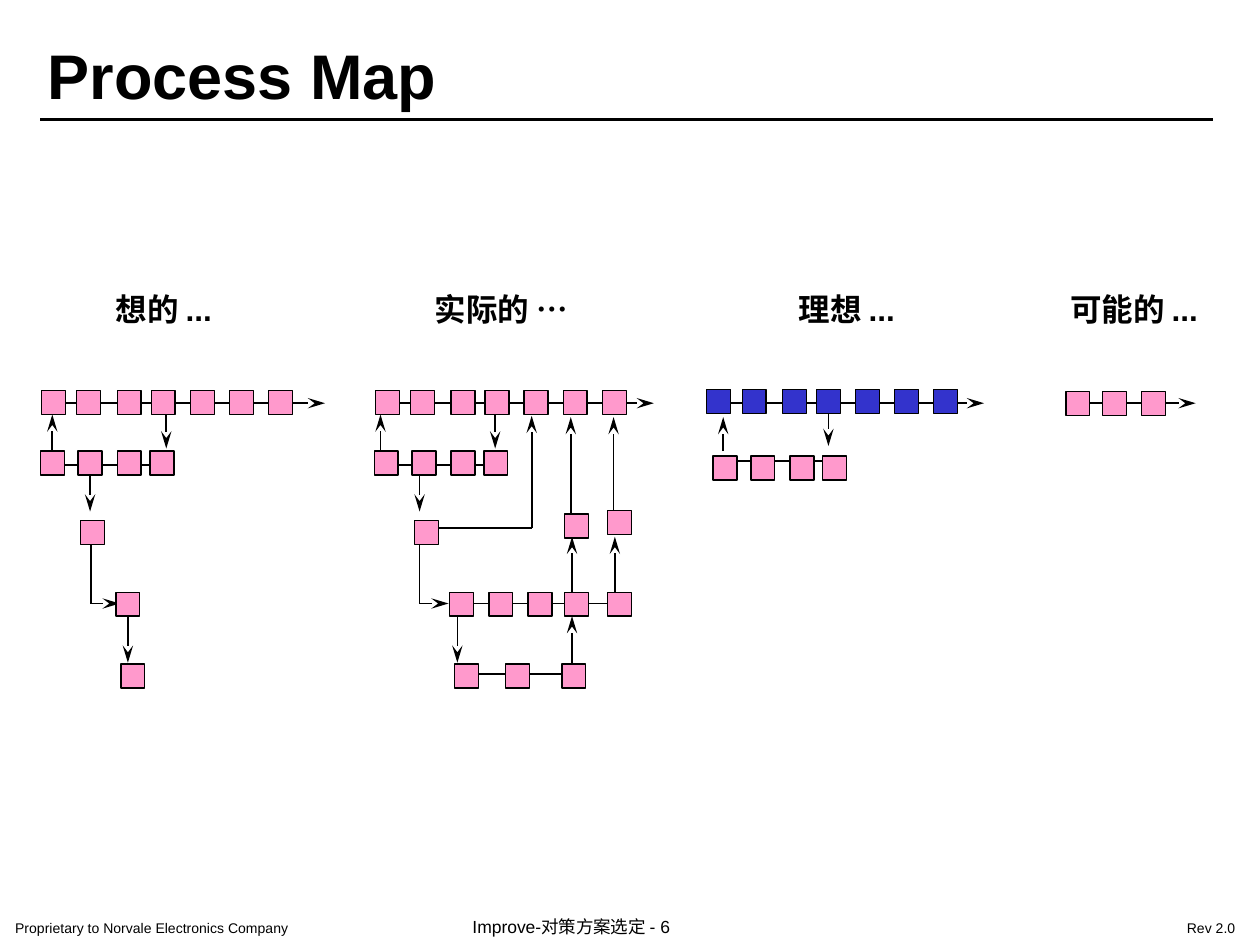
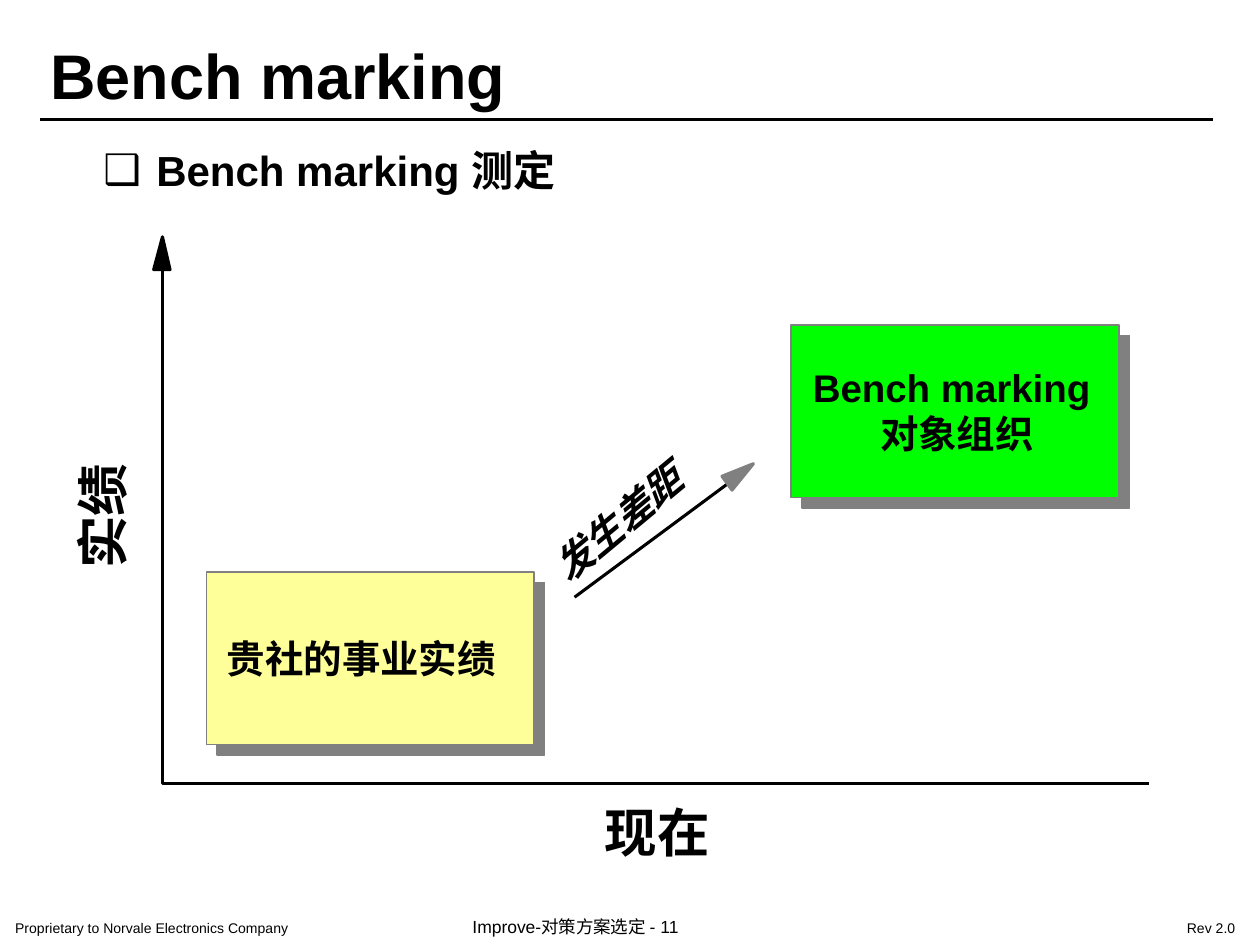
import pptx
import pptx.util
import pptx.dml.color
import pptx.enum.shapes
import pptx.enum.text
import pptx.oxml.ns
from lxml import etree

Inches = pptx.util.Inches
Pt = pptx.util.Pt
RGB = pptx.dml.color.RGBColor.from_string
qn = pptx.oxml.ns.qn
RECT = pptx.enum.shapes.MSO_SHAPE.RECTANGLE
STRAIGHT = pptx.enum.shapes.MSO_CONNECTOR.STRAIGHT
ALIGN = pptx.enum.text.PP_ALIGN
GROW = pptx.enum.text.MSO_AUTO_SIZE.SHAPE_TO_FIT_TEXT

COLORS = {
    "ink": "000000",
    "paper": "FFFFFF",
    "step": "FF99CC",
    "ideal": "3333CC",
    "own": "FFFF99",
    "target": "00FF00",
    "gray": "808080",
}


def add_text(s, box, lines, size, bold=False, inset=(0, 0), wrap=False, align=ALIGN.LEFT):
    sp = s.shapes.add_textbox(*[Inches(v) for v in box])
    tf = sp.text_frame
    tf.word_wrap = wrap
    if not wrap:
        tf.auto_size = GROW
    tf.margin_left = tf.margin_right = Inches(inset[0])
    tf.margin_top = tf.margin_bottom = Inches(inset[1])
    tf.text = lines
    for p in tf.paragraphs:
        p.alignment = align
        p.font.name = "Arial"
        p.font.size = Pt(size)
        p.font.bold = bold
        p.font.color.rgb = RGB(COLORS["ink"])
    return sp


def add_line(s, x1, y1, x2, y2, width=1, arrow=False):
    cn = s.shapes.add_connector(STRAIGHT, Inches(x1), Inches(y1), Inches(x2), Inches(y2))
    cn.line.color.rgb = RGB(COLORS["ink"])
    cn.line.width = Pt(width)
    if arrow:
        ln = cn._element.spPr.find(qn("a:ln"))
        etree.SubElement(ln, qn("a:tailEnd"), type="stealth", w="med", len="lg")
    etree.SubElement(cn._element.spPr, qn("a:effectLst"))
    return cn


prs = pptx.Presentation()
prs.slide_width = Inches(10)
prs.slide_height = Inches(7.5)

slides = []
for title, left, number in [("Process Map", 0.28, 6), ("Bench marking", 0.3, 11)]:
    s = prs.slides.add_slide(prs.slide_layouts[6])
    s.background.fill.solid()
    s.background.fill.fore_color.rgb = RGB(COLORS["paper"])
    pad = (0.12, 0.06)
    add_text(s, (0, 7.24, 3.21, 0.25), "Proprietary to Norvale Electronics Company", 8, inset=pad, wrap=True)
    add_text(s, (3.63, 7.21, 2.44, 0.29), f"Improve-对策方案选定 - {number}", 10, inset=pad)
    add_text(s, (9.3, 7.24, 0.63, 0.25), "Rev 2.0", 8, inset=pad)
    add_line(s, 0.32, 0.95, 9.63, 0.95, 1.5)
    add_text(s, (left, 0.24, 5.5, 0.66), title, 36, True, (0.1, 0.05), True)
    slides.append(s)

s = slides[0]
headings = "\t想的 ...\t实际的 …\t理想 ...\t可能的 ..."
sp = add_text(s, (0.32, 2.28, 9.43, 0.34), headings, 18, True, (0.05, 0.02), True)
pPr = sp.text_frame.paragraphs[0]._p.get_or_add_pPr()
tabs = etree.Element(qn("a:tabLst"))
for stop in (0.93, 3.61, 6.35, 8.63):
    etree.SubElement(tabs, qn("a:tab"), pos=str(Inches(stop)), algn="ctr")
pPr.insert(0, tabs)

SIDE = 0.19
LINE_SHIFT = 2.61
STEP_SHIFT = 2.65
main_row = (0, 0.28, 0.6, 0.87, 1.18, 1.49, 1.8)
rework_row = (0, 0.3, 0.61, 0.87)

flows = [
    (8.61, 3.2, 9.49, 3.2, True),
    (5.74, 3.2, 7.81, 3.2, True),
    (5.77, 3.66, 6.54, 3.66, False),
    (3.72, 4.79, 4.82, 4.79, False),
    (3.65, 5.35, 4.54, 5.35, False),
    (4.54, 5.35, 4.54, 4.89, True),
    (4.54, 4.74, 4.54, 4.26, True),
    (4.88, 4.7, 4.88, 4.26, True),
    (4.53, 4.14, 4.53, 3.31, True),
    (4.87, 4.11, 4.87, 3.31, True),
    (3.43, 4.19, 4.22, 4.19, False),
    (4.22, 4.19, 4.22, 3.3, True),
]
branches = [
    (5.74, 3.58, 3.31),
    (6.58, 3.28, 3.54),
]
for dx in (0, LINE_SHIFT):
    flows += [
        (0.49 + dx, 3.2, 2.58 + dx, 3.2, True),
        (0.51 + dx, 3.69, 1.27 + dx, 3.69, False),
        (0.72 + dx, 4.27, 0.72 + dx, 4.79, False),
        (0.72 + dx, 4.79, 0.95 + dx, 4.79, True),
    ]
    branches += [
        (0.41 + dx, 3.58, 3.29),
        (1.32 + dx, 3.29, 3.56),
        (0.72 + dx, 3.77, 4.06),
        (1.02 + dx, 4.89, 5.26),
    ]

steps = [(5.61 + x, 3.09, "ideal") for x in main_row]
steps += [(5.66 + x, 3.62, "step") for x in rework_row]
steps += [(x, 3.11, "step") for x in (8.46, 8.75, 9.06)]
for dx in (0, STEP_SHIFT):
    steps += [(0.33 + dx + x, 3.1, "step") for x in main_row]
    steps += [(0.32 + dx + x, 3.58, "step") for x in rework_row]
    steps += [(x + dx, y, "step") for x, y in ((0.64, 4.13), (0.92, 4.7), (0.96, 5.27))]
steps += [(x, 4.7, "step") for x in (3.88, 4.19, 4.48, 4.82)]
steps += [(x, 5.27, "step") for x in (4.01, 4.46)]
steps += [(4.48, 4.08, "step"), (4.82, 4.05, "step")]

for x1, y1, x2, y2, arrow in flows:
    add_line(s, x1, y1, x2, y2, arrow=arrow)

joints = []
for x, y, color in steps:
    sp = s.shapes.add_shape(RECT, Inches(x), Inches(y), Inches(SIDE), Inches(SIDE))
    sp.shadow.inherit = False
    sp.fill.solid()
    sp.fill.fore_color.rgb = RGB(COLORS[color])
    sp.line.color.rgb = RGB(COLORS["ink"])
    sp.line.width = Pt(0.75)
    joints += [(x + SIDE / 2, y, sp, 0), (x + SIDE / 2, y + SIDE, sp, 2)]

for x, y1, y2 in branches:
    starts = [j for j in joints if abs(j[0] - x) < 0.01 and abs(j[1] - y1) < 0.01]
    if starts:
        x = starts[0][0]
    cn = add_line(s, x, y1, x, y2, arrow=True)
    for _, _, sp, site in starts:
        cn.begin_connect(sp, site)

s = slides[1]
sp = add_text(s, (0.7, 1.09, 3.91, 0.52), "Bench marking 测定", 24, True, (0.12, 0.06))
pPr = sp.text_frame.paragraphs[0]._p.get_or_add_pPr()
pPr.set("marL", str(Inches(0.42)))
pPr.set("indent", str(-Inches(0.42)))
pPr.insert(0, etree.Element(qn("a:buFont"), typeface="Arial"))
pPr.insert(1, etree.Element(qn("a:buChar"), char="❑"))

for left, top, color in [(1.64, 4.54, "own"), (6.28, 2.58, "target")]:
    sp = s.shapes.add_shape(RECT, Inches(left), Inches(top), Inches(2.6), Inches(1.37))
    sp.fill.solid()
    sp.fill.fore_color.rgb = RGB(COLORS[color])
    sp.line.color.rgb = RGB(COLORS["gray"])
    sp.line.width = Pt(0.88)
    sp.shadow.inherit = False
    effects = sp._element.spPr.find(qn("a:effectLst"))
    shadow = etree.SubElement(effects, qn("a:outerShdw"), dist=str(Pt(8.5)), dir="2700000", algn="ctr", rotWithShape="0")
    etree.SubElement(shadow, qn("a:srgbClr"), val=COLORS["gray"])

add_line(s, 4.56, 4.74, 5.95, 3.71, 1.75)
outlines = [
    ([(1.29, 1.92), (1.29, 6.22), (9.12, 6.22)], "ink", False),
    ([(1.22, 2.14), (1.29, 1.88), (1.35, 2.14)], "ink", True),
    ([(5.73, 3.78), (5.98, 3.68), (5.81, 3.89)], "gray", True),
]
for points, color, closed in outlines:
    points = [(Inches(x), Inches(y)) for x, y in points]
    fb = s.shapes.build_freeform(*points[0])
    fb.add_line_segments(points[1:], close=closed)
    sp = fb.convert_to_shape()
    sp.shadow.inherit = False
    if closed:
        sp.fill.solid()
        sp.fill.fore_color.rgb = RGB(COLORS[color])
    else:
        sp.fill.background()
    sp.line.color.rgb = RGB(COLORS[color])
    sp.line.width = Pt(1.75)

axis_y = add_text(s, (0.38, 3.84, 0.85, 0.5), "实绩", 30, True)
axis_y.rotation = 270
add_text(s, (4.8, 6.35, 0.85, 0.5), "现在", 30, True)
add_text(s, (1.8, 5.04, 2.14, 0.37), "贵社的事业实绩", 22, True)
add_text(s, (6.45, 2.89, 2.29, 0.73), "Bench marking \n对象组织", 22, True, align=ALIGN.CENTER)
gap = add_text(s, (4.29, 3.96, 1.23, 0.37), "发生差距", 22, True)
gap.rotation = 320.2
gap.text_frame.paragraphs[0].font.italic = True

prs.save("out.pptx")
